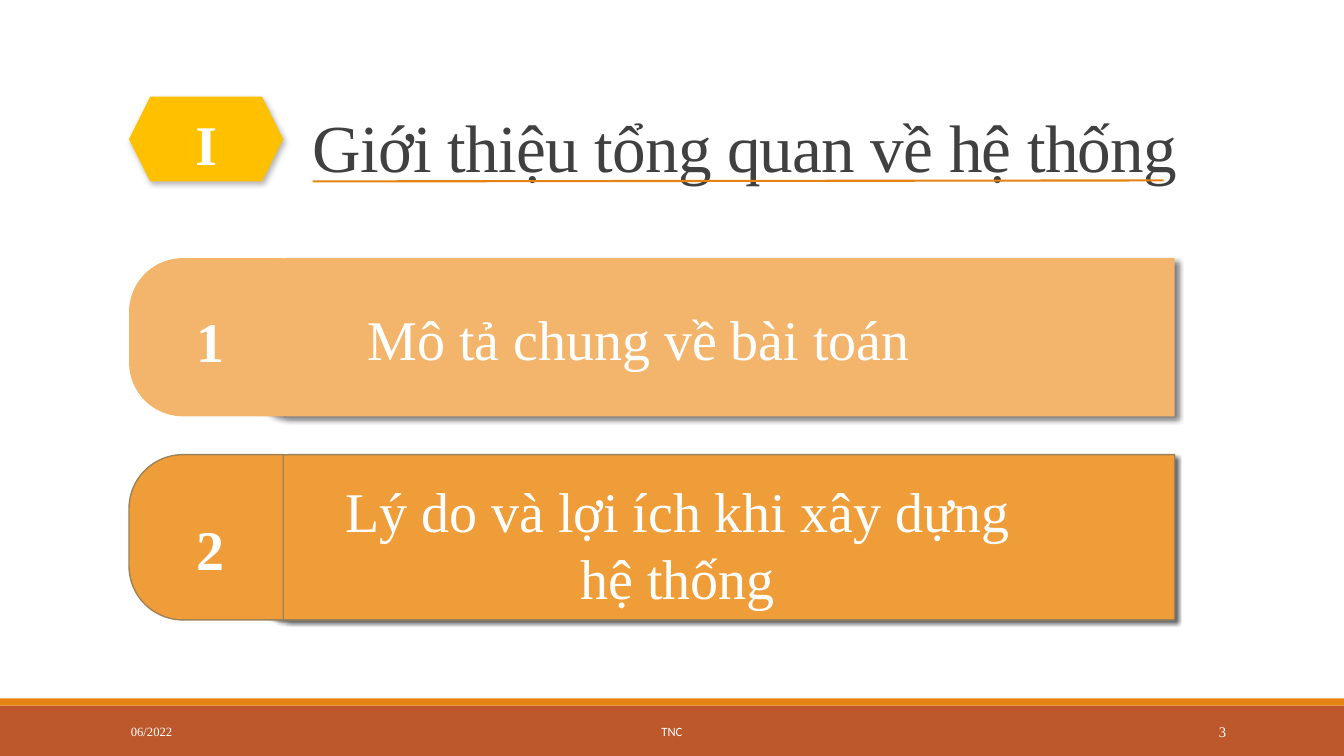
from dataclasses import dataclass

from lxml.etree import SubElement
from pptx import Presentation
from pptx.dml.color import RGBColor
from pptx.enum.shapes import MSO_CONNECTOR as Connector, MSO_SHAPE as Preset
from pptx.enum.text import MSO_ANCHOR as Anchor, MSO_AUTO_SIZE as AutoSize, PP_ALIGN as Align
from pptx.oxml.ns import qn
from pptx.util import Inches, Pt


@dataclass(frozen=True)
class Theme:
    """Colours, fonts and type sizes of the deck."""
    serif: str = "Times New Roman"
    sans: str = "Calibri"
    ink: str = "404040"
    white: str = "FFFFFF"
    band: str = "BD582C"
    accent: str = "E48312"
    badge: str = "FFC000"
    light: str = "F3B56C"
    strong: str = "EF9D39"
    edge: str = "9B8357"
    shade: str = "000000"
    title: float = 48
    body: float = 40
    footer: float = 9
    number: float = 10.5


THEME = Theme()
WIDTH, HEIGHT = 13.33, 7.5


def lengths(box):
    """Turn a box in inches into slide lengths."""
    return [Inches(value) for value in box]


def write(frame, words, size, color=THEME.white, font=THEME.serif, bold=False,
          align=Align.CENTER, anchor=Anchor.MIDDLE):
    """Fill a text frame with one formatted run and return that run."""
    frame.word_wrap = True
    frame.auto_size = AutoSize.NONE
    frame.vertical_anchor = anchor
    paragraph = frame.paragraphs[0]
    paragraph.alignment = align
    run = paragraph.add_run()
    run.text = words
    run.font.size, run.font.name, run.font.bold = Pt(size), font, bold
    run.font.color.rgb = RGBColor.from_string(color)
    return run


def label(slide, box, words, size, **style):
    """Place a text box."""
    write(slide.shapes.add_textbox(*lengths(box)).text_frame, words, size, **style)


def cast_shadow(shape, opacity, blur, distance, angle):
    """Give a shape an outer shadow that ignores its rotation."""
    effects = shape._element.spPr.find(qn("a:effectLst"))
    shadow = SubElement(effects, qn("a:outerShdw"), blurRad=str(Pt(blur)),
                        dist=str(Pt(distance)), dir=str(angle * 60000),
                        algn="ctr", rotWithShape="0")
    color = SubElement(shadow, qn("a:srgbClr"), val=THEME.shade)
    SubElement(color, qn("a:alpha"), val=str(opacity * 1000))


def block(slide, preset, box, fill, edge=None, shadow=None):
    """Draw a filled preset shape with optional edge and shadow."""
    shape = slide.shapes.add_shape(preset, *lengths(box))
    shape.shadow.inherit = False
    shape.fill.solid()
    shape.fill.fore_color.rgb = RGBColor.from_string(fill)
    if edge:
        shape.line.color.rgb = RGBColor.from_string(edge)
        shape.line.width = Pt(1)
    else:
        shape.line.fill.background()
    if shadow:
        cast_shadow(shape, *shadow)
    return shape


def left_rounded(slide, box, radius, fill, edge=None, shadow=None):
    """Draw a box whose two left corners are rounded."""
    left, top, width, height = box
    upright = (left + (width - height) / 2, top + (height - width) / 2, height, width)
    shape = block(slide, Preset.ROUND_2_SAME_RECTANGLE, upright, fill, edge, shadow)
    shape.rotation = 270
    shape.adjustments[0], shape.adjustments[1] = radius, 0


def footer(slide, box, date, owner, number):
    """Draw the bottom band with date, owner and slide number."""
    left, top, width, height = box
    stripe = 0.07
    block(slide, Preset.RECTANGLE, (left, top + stripe, width, height - stripe), THEME.band)
    block(slide, Preset.RECTANGLE, (left, top, width, stripe), THEME.accent)
    row = top + 0.13
    label(slide, (left + 1.2, row, 2.7, 0.4), date, THEME.footer, align=Align.LEFT)
    label(slide, (left + 4.03, row, 5.27, 0.4), owner, THEME.footer, font=THEME.sans)
    label(slide, (left + 10.83, row, 1.43, 0.4), number, THEME.number, align=Align.RIGHT)


def heading(slide, box, numeral, words):
    """Place the numbered badge, the title and its underline."""
    left, top, width, height = box
    badge_width, text_left = 1.53, left + 1.82
    title = slide.shapes.title
    title.left, title.top, title.width, title.height = lengths(
        (text_left - 0.1, top - 0.65, width - 1, height + 0.75))
    run = write(title.text_frame, words, THEME.title, THEME.ink,
                align=Align.LEFT, anchor=Anchor.BOTTOM)
    run.font._element.set("spc", "-50")
    title.text_frame.paragraphs[0].line_spacing = 0.85
    block(slide, Preset.HEXAGON, (left, top, badge_width, height), THEME.badge,
          shadow=(30, 4.5, 2.6, 53))
    label(slide, (left, top + 0.07, badge_width, height - 0.07), numeral, THEME.body, bold=True)
    base = top + height
    underline = slide.shapes.add_connector(
        Connector.STRAIGHT, *lengths((text_left, base, left + width - 0.11, base - 0.01)))
    underline.line.color.rgb = RGBColor.from_string(THEME.accent)
    underline.line.width = Pt(1.5)
    SubElement(underline._element.spPr, qn("a:effectLst"))


def topic(slide, box, numeral, words, words_box, numeral_drop, fill, edge, shadow):
    """Draw one agenda bar with its numbered tab; inner places are relative to the box."""
    left, top, width, height = box
    tab_width, overlap = 1.53, 0.32
    bar_left = left + tab_width - overlap
    left_rounded(slide, (bar_left, top, left + width - bar_left, height), 0.23, fill, edge, shadow)
    left_rounded(slide, (left, top, tab_width, height), 0.35, fill, edge)
    x, y, text_width, text_height = words_box
    label(slide, (left + x, top + y, text_width, text_height), words, THEME.body,
          anchor=Anchor.TOP)
    label(slide, (left + 0.38, top + numeral_drop, 0.85, 0.77), numeral, THEME.body, bold=True)


def main():
    """Build and save the section slide."""
    deck = Presentation()
    deck.slide_width, deck.slide_height = Inches(WIDTH), Inches(HEIGHT)
    title_only = deck.slide_layouts[5]
    slide = deck.slides.add_slide(title_only)
    left, width = 1.28, 10.37
    footer(slide, (0, 6.93, WIDTH, HEIGHT - 6.93), "06/2022", "TNC", "3")
    heading(slide, (left, 0.96, width, 0.84), "I", "Giới thiệu tổng quan về hệ thống")
    topic(slide, (left, 2.56, width, 1.57), "1", "Mô tả chung về bài toán",
          (1.82, 0.41, 6.47, 0.77), 0.43, THEME.light, None, (50, 4, 3, 45))
    topic(slide, (left, 4.51, width, 1.64), "2", "Lý do và lợi ích khi xây dựng hệ thống",
          (1.99, 0.17, 6.9, 1.45), 0.54, THEME.strong, THEME.edge, (60, 3, 2, 45))
    deck.save("out.pptx")


if __name__ == "__main__":
    main()
